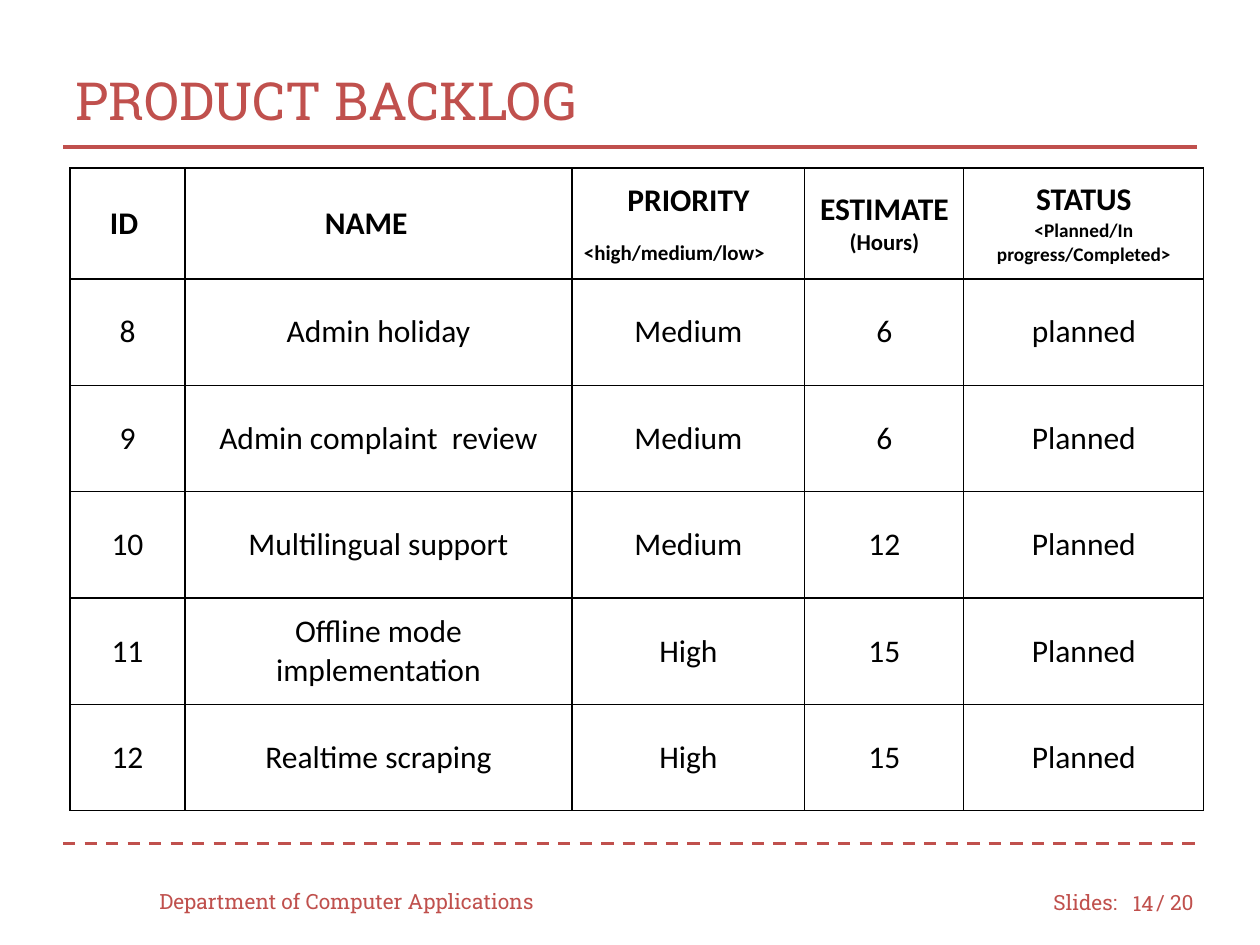
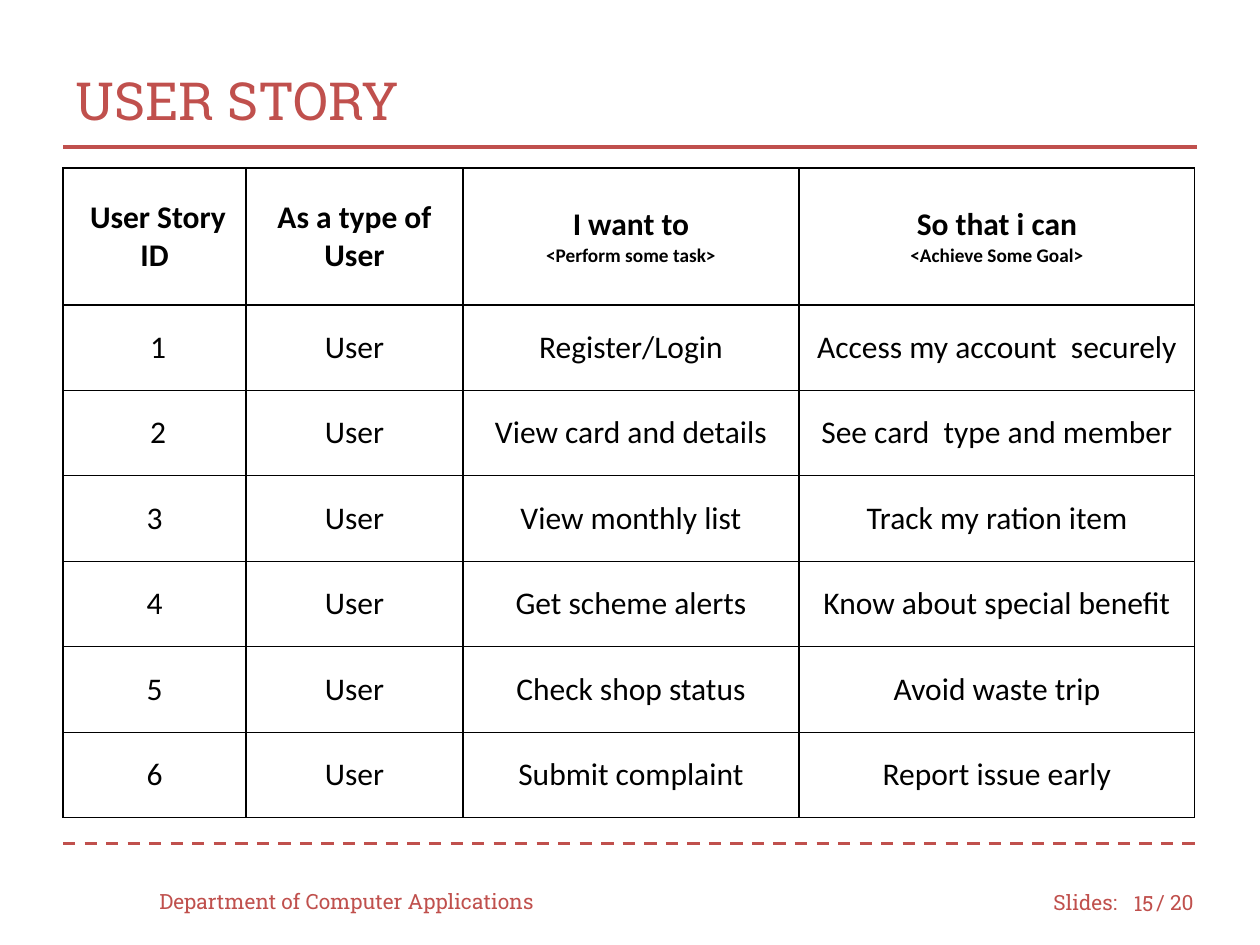
from collections import namedtuple
from dataclasses import dataclass

from lxml import etree
from pptx import Presentation
from pptx import util as u
from pptx.dml.color import RGBColor
from pptx.enum import dml, shapes, text
from pptx.oxml import ns


@dataclass(frozen=True)
class Theme:
    accent: RGBColor = RGBColor(0xC0, 0x50, 0x4D)
    ink: RGBColor = RGBColor(0, 0, 0)
    paper: RGBColor = RGBColor(255, 255, 255)
    display: str = "Roboto Slab"
    body: str = "Calibri"
    title_size: int = 30
    footer_size: int = 12
    cell_size: int = 18
    rule: float = 1.75
    border: float = 0.75
    inset: int = 12


T = Theme()
LEFT, CENTER, RIGHT = (text.PP_ALIGN.LEFT, text.PP_ALIGN.CENTER,
                       text.PP_ALIGN.RIGHT)
MIDDLE = text.MSO_ANCHOR.MIDDLE
Box = namedtuple("Box", "x y w h")
# One paragraph of a cell; indent shifts its first line, before is in points
Line = namedtuple("Line", "text size align indent before",
                  defaults=(T.cell_size, CENTER, 0, 0))


def px(n):
    """Convert px (126 to the inch) to EMU."""
    return u.Emu(round(n * 914400 / 126))


def style(p, font, size, color, bold=False, align=LEFT):
    p.alignment = align
    for r in p.runs:
        r.font.name = font
        r.font.size = u.Pt(size)
        r.font.bold = bold
        r.font.color.rgb = color


# Title, rules and footer
def add_title(s, box, title):
    sp = s.shapes.title
    sp.left, sp.top, sp.width, sp.height = map(px, box)
    tf = sp.text_frame
    tf.text = title
    tf.vertical_anchor = MIDDLE
    style(tf.paragraphs[0], T.display, T.title_size, T.accent)


def add_rule(s, x, y, w, dash=None):
    line = s.shapes.add_connector(shapes.MSO_CONNECTOR.STRAIGHT,
                                  px(x), px(y), px(x + w), px(y))
    line.line.color.rgb = T.accent
    line.line.width = u.Pt(T.rule)
    if dash:
        line.line.dash_style = dash
    etree.SubElement(line._element.spPr, ns.qn("a:effectLst"))


def add_footer(s, box, number):
    parts = [
        (0, 1, 420, "Department of Computer Applications", LEFT),
        (894, 2, 94, "Slides:", LEFT),
        (966, 3, 53, str(number), RIGHT),
        (997, 2, 73, "/ 20", LEFT),
    ]
    for dx, dy, w, label, align in parts:
        sp = s.shapes.add_textbox(px(box.x + dx), px(box.y + dy),
                                  px(w), px(box.h))
        tf = sp.text_frame
        tf.word_wrap = True
        tf.vertical_anchor = MIDDLE
        tf.text = label
        style(tf.paragraphs[0], T.display, T.footer_size, T.accent, align=align)


# Table
def add_borders(cell):
    tcPr = cell._tc.get_or_add_tcPr()
    for side in ("lnL", "lnR", "lnT", "lnB"):
        ln = etree.SubElement(tcPr, ns.qn(f"a:{side}"),
                              w=str(int(u.Pt(T.border))))
        fill = etree.SubElement(ln, ns.qn("a:solidFill"))
        etree.SubElement(fill, ns.qn("a:srgbClr"), val=str(T.ink))


def fill_cell(cell, lines, bold):
    add_borders(cell)
    cell.fill.solid()
    cell.fill.fore_color.rgb = T.paper
    cell.vertical_anchor = MIDDLE
    cell.margin_left = cell.margin_right = px(T.inset)
    cell.margin_top = cell.margin_bottom = px(T.inset)
    tf = cell.text_frame
    tf.text = "\n".join(line.text for line in lines)
    for p, line in zip(tf.paragraphs, lines):
        style(p, T.body, line.size, T.ink, bold, line.align)
        if line.before:
            p.space_before = u.Pt(line.before)
        if line.indent:
            p._p.get_or_add_pPr().set("indent", str(int(px(line.indent))))


def add_grid(s, box, col_widths, header_height, header, rows):
    """Header and rows hold cells, each a string or a list of Lines."""
    row_height = (box.h - header_height) / len(rows)
    table = s.shapes.add_table(len(rows) + 1, len(col_widths),
                               *map(px, box)).table
    table.first_row = table.horz_banding = False
    for col, w in zip(table.columns, col_widths):
        col.width = px(w)
    for i, values in enumerate([header, *rows]):
        table.rows[i].height = px(row_height if i else header_height)
        for j, value in enumerate(values):
            lines = [Line(value)] if isinstance(value, str) else value
            fill_cell(table.cell(i, j), lines, bold=i == 0)


def add_table_slide(prs, number, title, box, *grid):
    s = prs.slides.add_slide(prs.slide_layouts.get_by_name("Title Only"))
    add_rule(s, 63, 844, 1134, dml.MSO_LINE.DASH)
    add_rule(s, 63, 147, 1134)
    add_title(s, Box(63, 42, 1134, 116), title)
    add_footer(s, Box(147, 875, 1070, 50), number)
    add_grid(s, box, *grid)


# Content
BACKLOG_HEADER = [
    [Line("ID", align=LEFT, indent=28)],
    [Line("NAME", align=LEFT, indent=128)],
    [Line("PRIORITY"), Line("<high/medium/low>", 12, LEFT, before=12)],
    [Line("ESTIMATE"), Line("(Hours)", 13)],
    [Line("STATUS"), Line("<Planned/In progress/Completed>", 11)],
]
BACKLOG = [
    ("8", "Admin holiday", "Medium", "6", "planned"),
    ("9", "Admin complaint  review", "Medium", "6", "Planned"),
    ("10", "Multilingual support", "Medium", "12", "Planned"),
    ("11", "Offline mode implementation", "High", "15", "Planned"),
    ("12", "Realtime scraping", "High", "15", "Planned"),
]
STORY_HEADER = [
    [Line("User Story ID", indent=7)],
    "As a type of User",
    [Line("I want to"), Line("<Perform some task>", 11)],
    [Line("So that i can"), Line("<Achieve Some Goal>", 11)],
]
STORIES = [
    ([Line("1", indent=7)], "User", "Register/Login",
     "Access my account  securely"),
    ([Line("2", indent=7)], "User", "View card and details",
     "See card  type and member"),
    ("3", "User", "View monthly list", "Track my ration item"),
    ("4", "User", "Get scheme alerts", "Know about special benefit"),
    ("5", "User", "Check shop status", "Avoid waste trip"),
    ("6", "User", "Submit complaint", "Report issue early"),
]


def main():
    prs = Presentation()
    prs.slide_width, prs.slide_height = px(1260), px(945)
    add_table_slide(prs, 14, "PRODUCT BACKLOG", Box(70, 168, 1134, 643),
                    (115, 387, 233, 159, 240), 111, BACKLOG_HEADER, BACKLOG)
    add_table_slide(prs, 15, "USER STORY", Box(63, 168, 1132, 650),
                    (183, 217, 336, 396), 137, STORY_HEADER, STORIES)
    prs.save("out.pptx")


if __name__ == "__main__":
    main()
